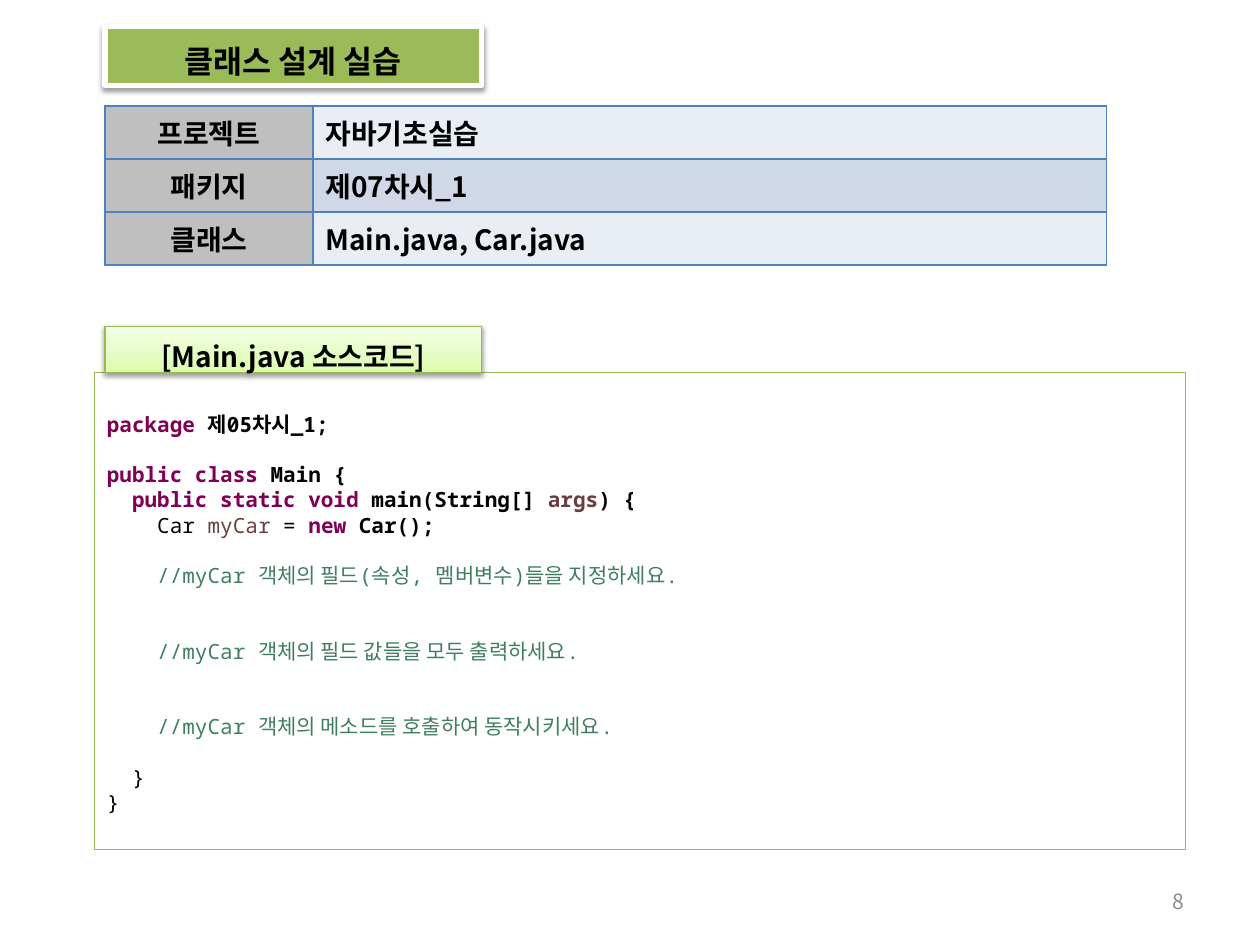
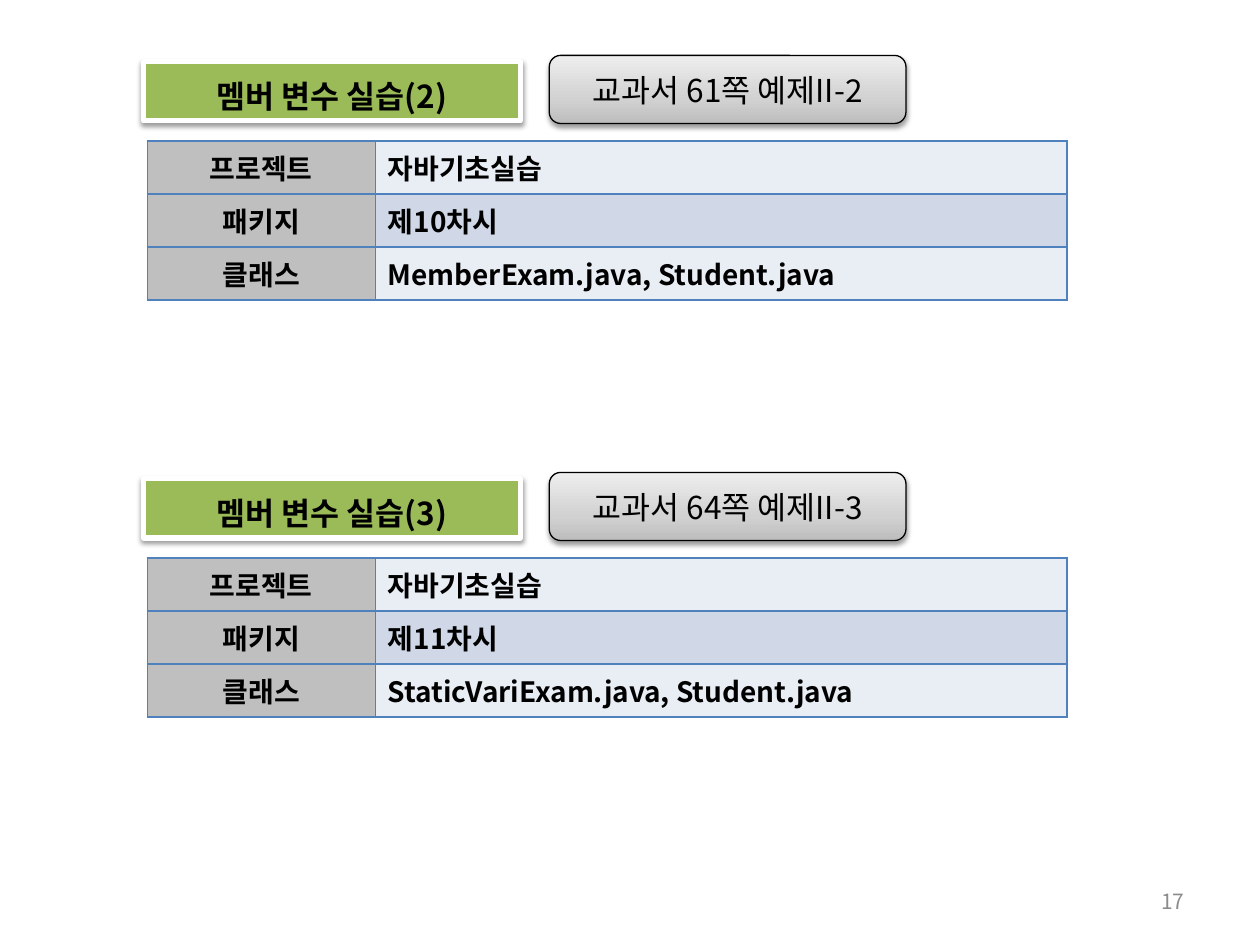
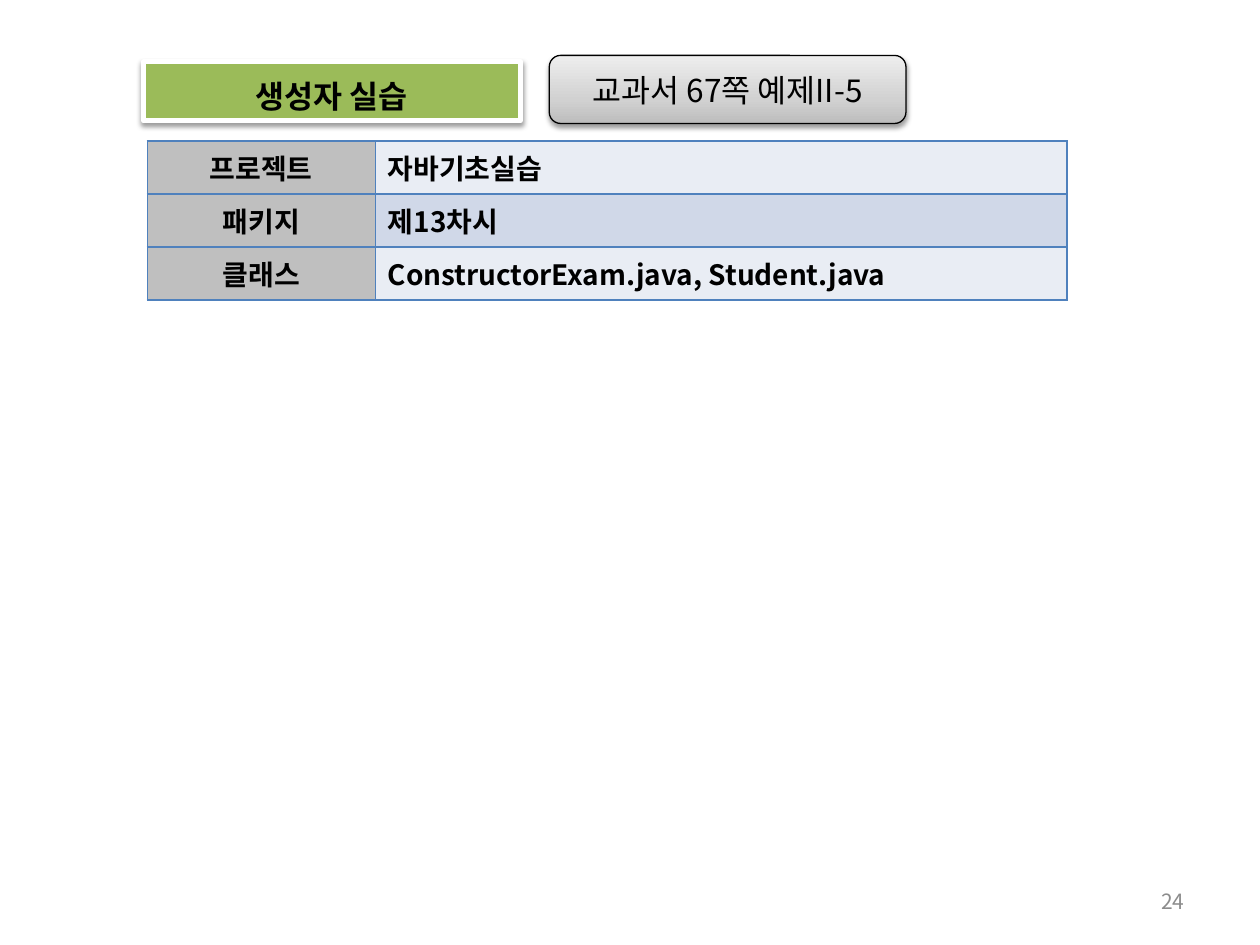
import dataclasses
import typing

import lxml.etree
import pptx
import pptx.dml.color
import pptx.enum.shapes
import pptx.enum.text
import pptx.oxml.ns
import pptx.util

Pt = pptx.util.Pt
qn = pptx.oxml.ns.qn
ALIGN = pptx.enum.text.PP_ALIGN
SHAPE = pptx.enum.shapes.MSO_SHAPE

COLOURS = {
    "text": "000000",
    "white": "FFFFFF",
    "number": "8C8C8C",
    "green": "9BBB59",
    "green_edge": "98B955",
    "label": "BFBFBF",
    "band_light": "E9EDF4",
    "band_dark": "D0D8E8",
    "border": "4F81BD",
    "keyword": "7F0055",
    "variable": "6A3E3E",
    "comment": "3F7F5F",
}
GREEN_FADE = {0: "DAFDA7", 35: "E4FCC2", 100: "F5FFE7"}
GREY_FADE = {0: "BDBDBD", 35: "D1D1D1", 100: "EEEEEE"}
SANS = "Noto Sans CJK KR"
MONO = "Noto Sans Mono"
LABELS = ("프로젝트", "패키지", "클래스")
PROJECT = "자바기초실습"
TAG_WIDTH, TAG_HEIGHT = 215.3, 33.8
TAG_TO_TABLE = 45.3
ROW_HEIGHT = 30.24
CODE_LEADING = 14.4


@dataclasses.dataclass(frozen=True)
class Grid:
    tag_left: float
    table_left: float
    label_width: float
    value_width: float


@dataclasses.dataclass(frozen=True)
class Exercise:
    title: str
    lesson: str
    classes: str
    top: float
    grid: Grid
    textbook: str = ""


@dataclasses.dataclass(frozen=True)
class Span:
    text: str
    colour: str = "text"
    bold: bool = False


@dataclasses.dataclass(frozen=True)
class CodeLine:
    spans: tuple[Span, ...]
    blanks_before: int = 0


@dataclasses.dataclass(frozen=True)
class Lesson:
    number: int
    exercises: tuple[Exercise, ...]
    code_title: str = ""
    code: tuple[CodeLine, ...] = ()


def keyword(text: str) -> Span:
    return Span(text, "keyword", True)


def strong(text: str) -> Span:
    return Span(text, bold=True)


def comment(text: str, blanks: int) -> CodeLine:
    return CodeLine((Span(f"    //myCar 객체의 {text}", "comment"),), blanks)


WIDE = Grid(60, 60, 118.8, 453.6)
NARROW = Grid(82, 84.2, 130.3, 395.3)

MAIN_CODE = (
    CodeLine((keyword("package "), strong("제05차시_1;"))),
    CodeLine((keyword("public class"), strong(" Main {")), 1),
    CodeLine((keyword("  public static void"), strong(" main(String[] "),
              Span("args", "variable", True), strong(") {"))),
    CodeLine((Span("    Car "), Span("myCar", "variable"), Span(" = "),
              keyword("new"), strong(" Car();"))),
    comment("필드(속성, 멤버변수)들을 지정하세요.", 1),
    comment("필드 값들을 모두 출력하세요.", 2),
    comment("메소드를 호출하여 동작시키세요.", 2),
    CodeLine((Span("  }"),), 1),
    CodeLine((Span("}"),)),
)

LESSONS = (
    Lesson(8, (Exercise("클래스 설계 실습", "제07차시_1", "Main.java, Car.java", 15.2, WIDE),),
           "[Main.java 소스코드]", MAIN_CODE),
    Lesson(17, (
        Exercise("멤버 변수 실습(2)", "제10차시", "MemberExam.java, Student.java",
                 35.3, NARROW, "교과서 61쪽 예제II-2"),
        Exercise("멤버 변수 실습(3)", "제11차시", "StaticVariExam.java, Student.java",
                 273.6, NARROW, "교과서 64쪽 예제II-3"),
    )),
    Lesson(24, (Exercise("생성자 실습", "제13차시", "ConstructorExam.java, Student.java",
                         35.3, NARROW, "교과서 67쪽 예제II-5"),)),
)


def rgb(name: str) -> pptx.dml.color.RGBColor:
    return pptx.dml.color.RGBColor.from_string(COLOURS[name])


def write(para: typing.Any, text: str, *, size: float, colour: str = "text", bold: bool = False,
          font: str = SANS, align: ALIGN = ALIGN.LEFT, leading: float | None = None) -> None:
    para.alignment = align
    if leading:
        para.line_spacing = Pt(leading)
    span = para.add_run()
    span.text = text
    span.font.name = font
    span.font.size = Pt(size)
    span.font.bold = bold
    span.font.color.rgb = rgb(colour)
    lxml.etree.SubElement(span.font._element, qn("a:ea"), typeface=SANS)


def set_frame(box: typing.Any, top: float = 3.6, bottom: float = 3.6) -> None:
    frame = box.text_frame
    frame.word_wrap = True
    frame.auto_size = pptx.enum.text.MSO_AUTO_SIZE.NONE
    frame.vertical_anchor = pptx.enum.text.MSO_ANCHOR.MIDDLE
    frame.margin_left = frame.margin_right = Pt(7.2)
    frame.margin_top, frame.margin_bottom = Pt(top), Pt(bottom)


def set_outline(box: typing.Any, colour: str, width: float) -> None:
    box.line.color.rgb = rgb(colour)
    box.line.width = Pt(width)
    box.shadow.inherit = False


def set_solid(box: typing.Any, colour: str) -> None:
    box.fill.solid()
    box.fill.fore_color.rgb = rgb(colour)


def set_fade(box: typing.Any, stops: dict[int, str]) -> None:
    box.fill.gradient()
    box.fill.gradient_angle = 90
    stop_list = box._element.spPr.find(f"{qn('a:gradFill')}/{qn('a:gsLst')}")
    for stop in list(stop_list):
        stop_list.remove(stop)
    for percent, colour in stops.items():
        stop = lxml.etree.SubElement(stop_list, qn("a:gs"), pos=str(percent * 1000))
        lxml.etree.SubElement(stop, qn("a:srgbClr"), val=colour)


def add_shadow(box: typing.Any) -> None:
    effects = box._element.spPr.find(qn("a:effectLst"))
    shadow = lxml.etree.SubElement(
        effects, qn("a:outerShdw"), blurRad=str(Pt(3.1)), dist=str(Pt(1.6)),
        dir="5400000", rotWithShape="0")
    colour = lxml.etree.SubElement(shadow, qn("a:srgbClr"), val=COLOURS["text"])
    lxml.etree.SubElement(colour, qn("a:alpha"), val="38000")


def add_box(page: typing.Any, kind: SHAPE, left: float, top: float,
            width: float, height: float) -> typing.Any:
    return page.shapes.add_shape(kind, Pt(left), Pt(top), Pt(width), Pt(height))


def draw_tag(box: typing.Any, exercise: Exercise) -> None:
    box.left, box.top = Pt(exercise.grid.tag_left), Pt(exercise.top)
    box.width, box.height = Pt(TAG_WIDTH), Pt(TAG_HEIGHT)
    set_solid(box, "green")
    set_outline(box, "white", 3)
    add_shadow(box)
    set_frame(box, top=5.8)
    write(box.text_frame.paragraphs[0], exercise.title, size=18, bold=True,
          align=ALIGN.CENTER, leading=25)


def draw_badge(page: typing.Any, exercise: Exercise) -> None:
    box = add_box(page, SHAPE.ROUNDED_RECTANGLE, 313.9, exercise.top - 3.6, 203.8, 38.9)
    set_fade(box, GREY_FADE)
    set_outline(box, "text", 0.75)
    add_shadow(box)
    set_frame(box)
    write(box.text_frame.paragraphs[0], exercise.textbook, size=18, align=ALIGN.CENTER)


def style_cell(cell: typing.Any, fill: str) -> None:
    properties = cell._tc.get_or_add_tcPr()
    for side in ("lnL", "lnR", "lnT", "lnB"):
        edge = lxml.etree.SubElement(properties, qn(f"a:{side}"), w=str(Pt(1)))
        paint = lxml.etree.SubElement(edge, qn("a:solidFill"))
        lxml.etree.SubElement(paint, qn("a:srgbClr"), val=COLOURS["border"])
    set_solid(cell, fill)


def draw_table(page: typing.Any, exercise: Exercise) -> None:
    grid = exercise.grid
    widths = (grid.label_width, grid.value_width)
    table = page.shapes.add_table(
        len(LABELS), 2, Pt(grid.table_left), Pt(exercise.top + TAG_TO_TABLE),
        Pt(sum(widths)), Pt(ROW_HEIGHT * len(LABELS))).table
    table.first_row = table.horz_banding = False
    for column, width in zip(table.columns, widths):
        column.width = Pt(width)
    values = (PROJECT, exercise.lesson, exercise.classes)
    for index, (label, value) in enumerate(zip(LABELS, values)):
        table.rows[index].height = Pt(ROW_HEIGHT)
        band = "band_dark" if index % 2 else "band_light"
        columns = ((label, "label", ALIGN.CENTER), (value, band, ALIGN.LEFT))
        for number, (text, fill, align) in enumerate(columns):
            cell = table.cell(index, number)
            style_cell(cell, fill)
            write(cell.text_frame.paragraphs[0], text, size=16, bold=True, align=align)


def draw_code(page: typing.Any, lesson: Lesson) -> None:
    panel = add_box(page, SHAPE.FLOWCHART_PROCESS, 54, 212.6, 623.5, 272.9)
    set_solid(panel, "white")
    set_outline(panel, "green", 0.25)
    set_frame(panel, top=5.8)
    frame = panel.text_frame
    for index, line in enumerate(lesson.code):
        para = frame.add_paragraph() if index else frame.paragraphs[0]
        if line.blanks_before:
            para.space_before = Pt(CODE_LEADING * line.blanks_before)
        for span in line.spans:
            write(para, span.text, size=12, colour=span.colour, bold=span.bold,
                  font=MONO, leading=CODE_LEADING)

    heading = add_box(page, SHAPE.FLOWCHART_PROCESS, 60, 186.5, TAG_WIDTH, 26.6)
    set_fade(heading, GREEN_FADE)
    set_outline(heading, "green_edge", 0.75)
    add_shadow(heading)
    set_frame(heading, top=5.8)
    write(heading.text_frame.paragraphs[0], lesson.code_title, size=16, bold=True,
          align=ALIGN.CENTER, leading=25)


def draw_number(page: typing.Any, number: int) -> None:
    box = page.shapes.add_textbox(Pt(516), Pt(500.5), Pt(168), Pt(28.8))
    set_frame(box)
    write(box.text_frame.paragraphs[0], str(number), size=12, colour="number",
          align=ALIGN.RIGHT)


def draw_lesson(deck: typing.Any, lesson: Lesson) -> None:
    page = deck.slides.add_slide(deck.slide_layouts.get_by_name("Title Only"))
    for index, exercise in enumerate(lesson.exercises):
        tag = page.shapes.title if index == 0 else add_box(
            page, SHAPE.FLOWCHART_PROCESS, 0, 0, TAG_WIDTH, TAG_HEIGHT)
        draw_tag(tag, exercise)
        draw_table(page, exercise)
        if exercise.textbook:
            draw_badge(page, exercise)
    if lesson.code:
        draw_code(page, lesson)
    draw_number(page, lesson.number)


def main() -> None:
    deck = pptx.Presentation()
    deck.slide_width, deck.slide_height = Pt(720), Pt(540)
    for lesson in LESSONS:
        draw_lesson(deck, lesson)
    deck.save("out.pptx")


if __name__ == "__main__":
    main()
